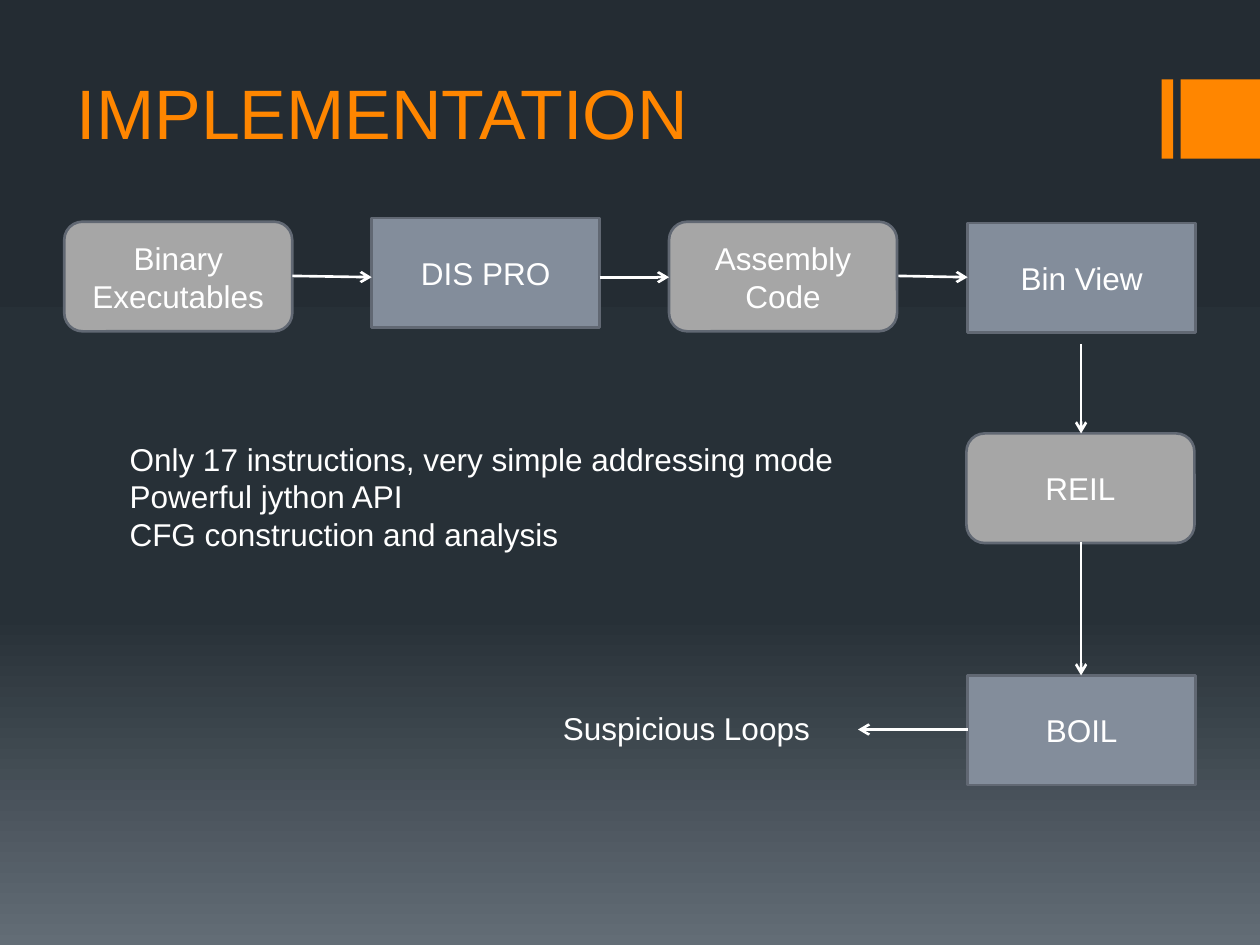
from copy import deepcopy
from dataclasses import dataclass

from pptx import Presentation
from pptx.dml.color import RGBColor
from pptx.enum import shapes, text
from pptx.oxml import ns, xmlchemy
from pptx.slide import Slide
from pptx.text.text import TextFrame
from pptx.util import Inches, Pt

ORANGE = RGBColor(0xFF, 0x86, 0x00)
WHITE = RGBColor(0xFF, 0xFF, 0xFF)
DATA_GRAY = RGBColor(0xA6, 0xA6, 0xA6)
TOOL_BLUE = RGBColor(0x83, 0x8D, 0x9B)
OUTLINE = RGBColor(0x61, 0x68, 0x73)
BACKDROP = [
    (0.0, RGBColor(0x24, 0x2C, 0x33)),
    (0.65, RGBColor(0x27, 0x30, 0x37)),
    (1.0, RGBColor(0x63, 0x6D, 0x76)),
]
FONT = "Arial"
STAGE_WIDTH, STAGE_HEIGHT = 1.81, 0.87


@dataclass
class Stage:
    """A step of the pipeline: a tool, or the data passed between tools."""
    label: str
    left: float
    top: float
    is_tool: bool


@dataclass
class Flow:
    """An arrow from one point to another."""
    x1: float
    y1: float
    x2: float
    y2: float


@dataclass
class Note:
    """Free text beside the pipeline."""
    lines: list[str]
    left: float
    top: float
    width: float
    height: float
    wraps: bool


STAGES = [
    Stage("Binary Executables", 0.51, 1.76, False),
    Stage("DIS PRO", 2.95, 1.73, True),
    Stage("Assembly Code", 5.31, 1.76, False),
    Stage("Bin View", 7.68, 1.77, True),
    Stage("REIL", 7.67, 3.44, False),
    Stage("BOIL", 7.68, 5.36, True),
]
FLOWS = [
    Flow(2.32, 2.19, 2.95, 2.2),
    Flow(4.76, 2.2, 5.31, 2.2),
    Flow(7.13, 2.19, 7.68, 2.2),
    Flow(8.58, 2.73, 8.58, 3.44),
    Flow(8.58, 4.3, 8.58, 5.36),
    Flow(7.68, 5.79, 6.81, 5.79),
]
NOTES = [
    Note(["Suspicious Loops"], 4.37, 5.58, 2.44, 0.4, True),
    Note(["Only 17 instructions, very simple addressing mode",
          "Powerful jython API",
          "CFG construction and analysis"], 0.93, 3.44, 5.85, 1.01, False),
]


def write(frame: TextFrame, lines: list[str], size: int, color: RGBColor,
          align: text.PP_ALIGN) -> None:
    """Fill a text frame with one paragraph per line."""
    frame.text = "\n".join(lines)
    for paragraph in frame.paragraphs:
        paragraph.alignment = align
        paragraph.font.name = FONT
        paragraph.font.size = Pt(size)
        paragraph.font.color.rgb = color


def paint_background(slide: Slide) -> None:
    """Apply the three-stop vertical gradient."""
    fill = slide.background.fill
    fill.gradient()
    fill.gradient_angle = 270
    stop_list = slide.element.find(".//" + ns.qn("a:gsLst"))
    stop_list.append(deepcopy(stop_list[-1]))
    for stop, (position, color) in zip(fill.gradient_stops, BACKDROP):
        stop.position = position
        stop.color.rgb = color


def add_accent(slide: Slide, left: float, width: float) -> None:
    """Draw an orange bar at the right edge."""
    accent = slide.shapes.add_shape(
        shapes.MSO_SHAPE.RECTANGLE,
        Inches(left), Inches(0.63), Inches(width), Inches(0.63))
    accent.shadow.inherit = False
    accent.fill.solid()
    accent.fill.fore_color.rgb = ORANGE
    accent.line.fill.background()


def add_title(slide: Slide, wording: str) -> None:
    """Place and format the title placeholder."""
    title = slide.shapes.title
    title.left, title.top = Inches(0.51), Inches(0.21)
    title.width, title.height = Inches(8), Inches(1.06)
    frame = title.text_frame
    write(frame, [wording], 40, ORANGE, text.PP_ALIGN.LEFT)
    frame.vertical_anchor = text.MSO_ANCHOR.BOTTOM
    frame.auto_size = text.MSO_AUTO_SIZE.NONE


def add_stage(slide: Slide, stage: Stage) -> None:
    """Draw a tool as a rectangle, data as a rounded box."""
    kind = (shapes.MSO_SHAPE.RECTANGLE if stage.is_tool
            else shapes.MSO_SHAPE.FLOWCHART_ALTERNATE_PROCESS)
    box = slide.shapes.add_shape(
        kind, Inches(stage.left), Inches(stage.top),
        Inches(STAGE_WIDTH), Inches(STAGE_HEIGHT))
    box.shadow.inherit = False
    box.fill.solid()
    box.fill.fore_color.rgb = TOOL_BLUE if stage.is_tool else DATA_GRAY
    box.line.color.rgb = OUTLINE
    box.line.width = Pt(1.5)
    box.text_frame.vertical_anchor = text.MSO_ANCHOR.MIDDLE
    write(box.text_frame, [stage.label], 18, WHITE, text.PP_ALIGN.CENTER)


def add_flow(slide: Slide, flow: Flow) -> None:
    """Draw a white line with an open arrowhead at its end."""
    arrow = slide.shapes.add_connector(
        shapes.MSO_CONNECTOR.STRAIGHT, Inches(flow.x1), Inches(flow.y1),
        Inches(flow.x2), Inches(flow.y2))
    arrow.line.color.rgb = WHITE
    arrow.line.width = Pt(1.5)
    properties = arrow.element.spPr
    head = xmlchemy.OxmlElement("a:tailEnd")
    head.set("type", "arrow")
    properties.find(ns.qn("a:ln")).append(head)
    properties.append(xmlchemy.OxmlElement("a:effectLst"))


def add_note(slide: Slide, note: Note) -> None:
    """Add a text box with white text."""
    box = slide.shapes.add_textbox(
        Inches(note.left), Inches(note.top),
        Inches(note.width), Inches(note.height))
    frame = box.text_frame
    frame.word_wrap = note.wraps
    frame.auto_size = text.MSO_AUTO_SIZE.SHAPE_TO_FIT_TEXT
    write(frame, note.lines, 18, WHITE, text.PP_ALIGN.LEFT)


def main() -> None:
    """Build and save the slide."""
    deck = Presentation()
    deck.slide_width, deck.slide_height = Inches(10), Inches(7.5)
    slide = deck.slides.add_slide(deck.slide_layouts.get_by_name("Title Only"))
    paint_background(slide)
    add_accent(slide, 9.22, 0.09)
    add_accent(slide, 9.37, 0.63)
    add_title(slide, "IMPLEMENTATION")
    for stage in STAGES:
        add_stage(slide, stage)
    for flow in FLOWS:
        add_flow(slide, flow)
    for note in NOTES:
        add_note(slide, note)
    deck.save("out.pptx")


main()
